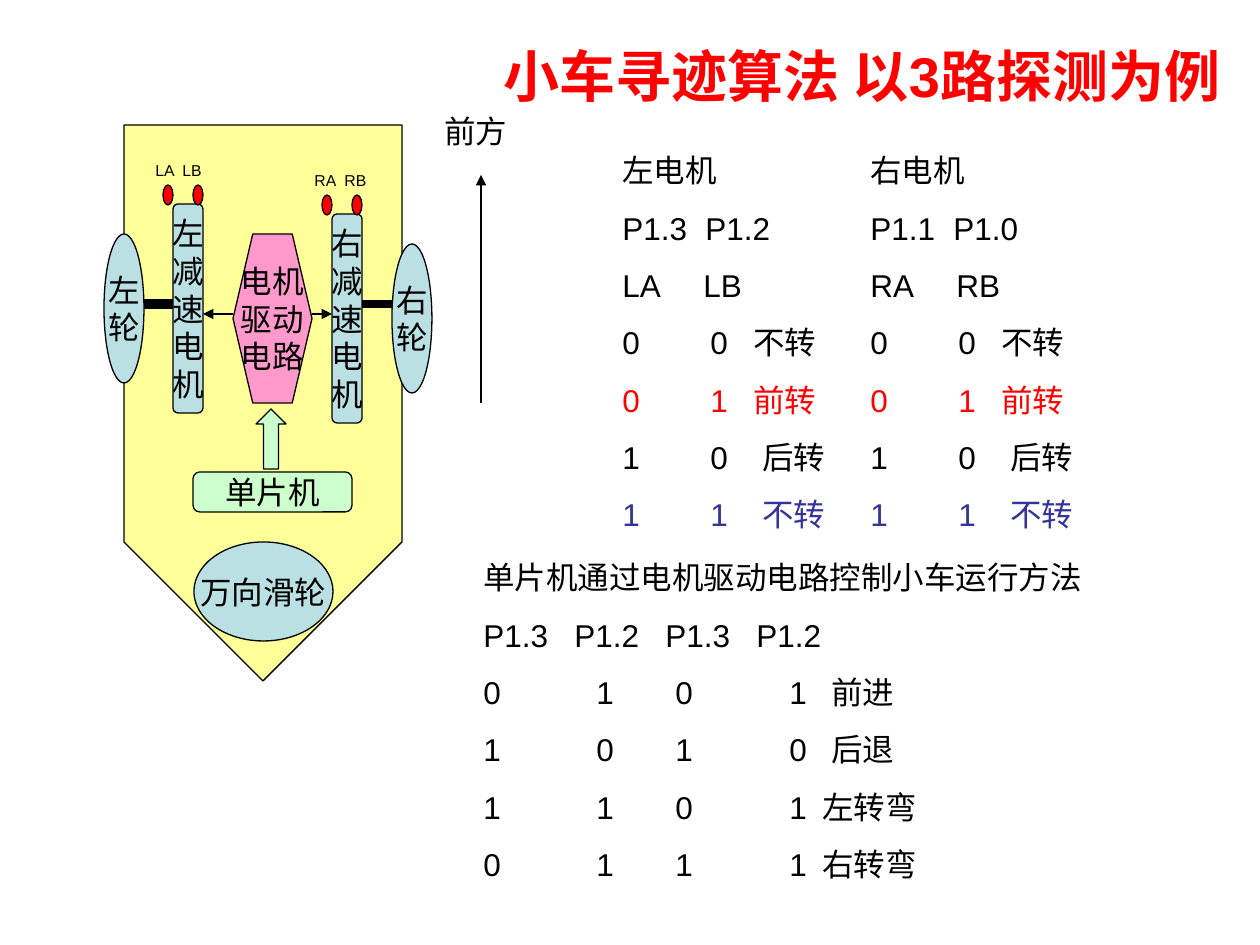
from lxml import etree
from pptx import Presentation
from pptx.dml.color import RGBColor
from pptx.enum.shapes import MSO_CONNECTOR, MSO_SHAPE
from pptx.enum.text import MSO_ANCHOR, MSO_AUTO_SIZE, PP_ALIGN
from pptx.oxml.ns import qn
from pptx.util import Pt

OVAL, ROUND = MSO_SHAPE.OVAL, MSO_SHAPE.ROUNDED_RECTANGLE
HEX, UP = MSO_SHAPE.HEXAGON, MSO_SHAPE.UP_ARROW
LINE = MSO_CONNECTOR.STRAIGHT
LEFT, MID = PP_ALIGN.LEFT, PP_ALIGN.CENTER
UNIT = 914400 / 126  # EMU per px
COL = {name: RGBColor.from_string(code) for name, code in {
    "black": "000000", "red": "FF0000", "navy": "333399", "yellow": "FFFF99",
    "blue": "BBE0E3", "pink": "FF99CC", "green": "CCFFCC"}.items()}


def px(*nums):
    return [round(n * UNIT) for n in nums]


def style(shape, fill=None, size=18, align=MID, color="black", gap=0):
    """Format a shape and its text; without a fill it stays a plain text box."""
    frame = shape.text_frame
    if fill:
        shape.shadow.inherit = False
        shape.fill.solid()
        shape.fill.fore_color.rgb = COL[fill]
        shape.line.color.rgb = COL["black"]
        shape.line.width = Pt(0.75)
        frame.vertical_anchor = MSO_ANCHOR.MIDDLE
    frame.word_wrap = not fill
    for para in frame.paragraphs:
        para.alignment = align
        para.space_before = Pt(gap)
        for run in para.runs:
            run.font.name = "Arial"
            run.font.size = Pt(size)
            run.font.color.rgb = COL[color]


deck = Presentation()
deck.slide_width, deck.slide_height = px(1260, 945)
slide = deck.slides.add_slide(deck.slide_layouts[5])
shapes = slide.shapes

# Title
title = shapes.title
title.left, title.top, title.width, title.height = px(491, 35, 769, 81)
title.text_frame.text = "小车寻迹算法 以3路探测为例"
title.text_frame.auto_size = MSO_AUTO_SIZE.NONE
title.text_frame.vertical_anchor = MSO_ANCHOR.TOP
style(title, size=32, align=LEFT, color="red")
title.text_frame.paragraphs[0].runs[0].font.bold = True

# Car body
build = shapes.build_freeform(124, 125, scale=UNIT)
build.add_line_segments([(402, 125), (402, 542), (263, 681), (124, 542)])
style(build.convert_to_shape(), "yellow")

# Wheels, motors, control blocks
parts = [
    (OVAL, (104, 234, 40, 149), "blue", "左\n轮"),
    (OVAL, (392, 244, 40, 149), "blue", "右\n轮"),
    (OVAL, (194, 542, 139, 99), "blue", "万向滑轮"),
    (ROUND, (173, 204, 30, 209), "blue", "左\n减\n速\n电\n机"),
    (ROUND, (332, 214, 30, 209), "blue", "右\n减\n速\n电\n机"),
    (HEX, (233, 234, 79, 169), "pink", "电机\n驱动\n电路"),
    (ROUND, (193, 472, 159, 40), "green", "单片机"),
    (UP, (256, 409, 30, 60), "green", ""),
]
# Two motor pins on each side
for x, y in (163, 185), (322, 195):
    parts += [(OVAL, (x + dx, y, 10, 20), "red", "") for dx in (0, 30)]
for kind, box, fill, text in parts:
    shape = shapes.add_shape(kind, *px(*box))
    shape.text_frame.text = text
    style(shape, fill)

# Axles and arrows: ends, width, arrowhead
for ends, width, head in [
    ((144, 304, 173, 304), 6, False),
    ((362, 304, 392, 304), 4.5, False),
    ((233, 314, 203, 314), 0.75, True),
    ((312, 314, 332, 314), 0.75, True),
    ((481, 403, 481, 175), 0.75, True),
]:
    link = shapes.add_connector(LINE, *px(*ends))
    link.line.color.rgb = COL["black"]
    link.line.width = Pt(width)
    if head:
        etree.SubElement(link.line._ln, qn("a:tailEnd"), type="triangle")
    etree.SubElement(link._element.spPr, qn("a:effectLst"))

# Labels and truth tables: box, size, rows of (text, colour, tab stops)
states = [
    ("0\t0\t不转", "black", (88, 131)),
    ("0\t1\t前转", "red", (88, 131)),
    ("1\t0\t后转", "black", (88, 140)),
    ("1\t1\t不转", "navy", (88, 140)),
]
moves = [
    ("单片机通过电机驱动电路控制小车运行方法", "black", ()),
    ("P1.3\tP1.2\tP1.3\tP1.2", "black", (91, 182, 273)),
    ("0\t1\t0\t1\t前进", "black", (113, 192, 306, 348)),
    ("1\t0\t1\t0\t后退", "black", (113, 192, 306, 348)),
    ("1\t1\t0\t1\t左转弯", "black", (113, 192, 306, 339)),
    ("0\t1\t1\t1\t右转弯", "black", (113, 192, 306, 339)),
]
texts = [
    ((432, 106, 90, 50), 18, [("前方", "black", ())]),
    ((143, 155, 80, 31), 9, [("LA\tLB", "black", (27,))]),
    ((302, 165, 80, 31), 9, [("RA\tRB", "black", (30,))]),
    ((471, 552, 665, 338), 18, moves),
]
for x, side, pins, ends in [
    (610, "左电机", "P1.3\tP1.2", "LA\tLB"),
    (858, "右电机", "P1.1\tP1.0", "RA\tRB"),
]:
    heads = [(side, "black", ()), (pins, "black", (83,)),
             (ends, "black", (81 if x == 610 else 86,))]
    texts.append(((x, 145, 228, 396), 18, heads + states))
for box, size, rows in texts:
    area = shapes.add_textbox(*px(*box))
    area.text_frame.text = "\n".join(row[0] for row in rows)
    style(area, size=size, align=LEFT, gap=size * 0.62)
    for para, (text, color, stops) in zip(area.text_frame.paragraphs, rows):
        para.runs[0].font.color.rgb = COL[color]
        if stops:
            tabs = etree.SubElement(para._p.get_or_add_pPr(), qn("a:tabLst"))
            for stop in px(*stops):
                etree.SubElement(tabs, qn("a:tab"), pos=str(stop), algn="l")

deck.save("out.pptx")
